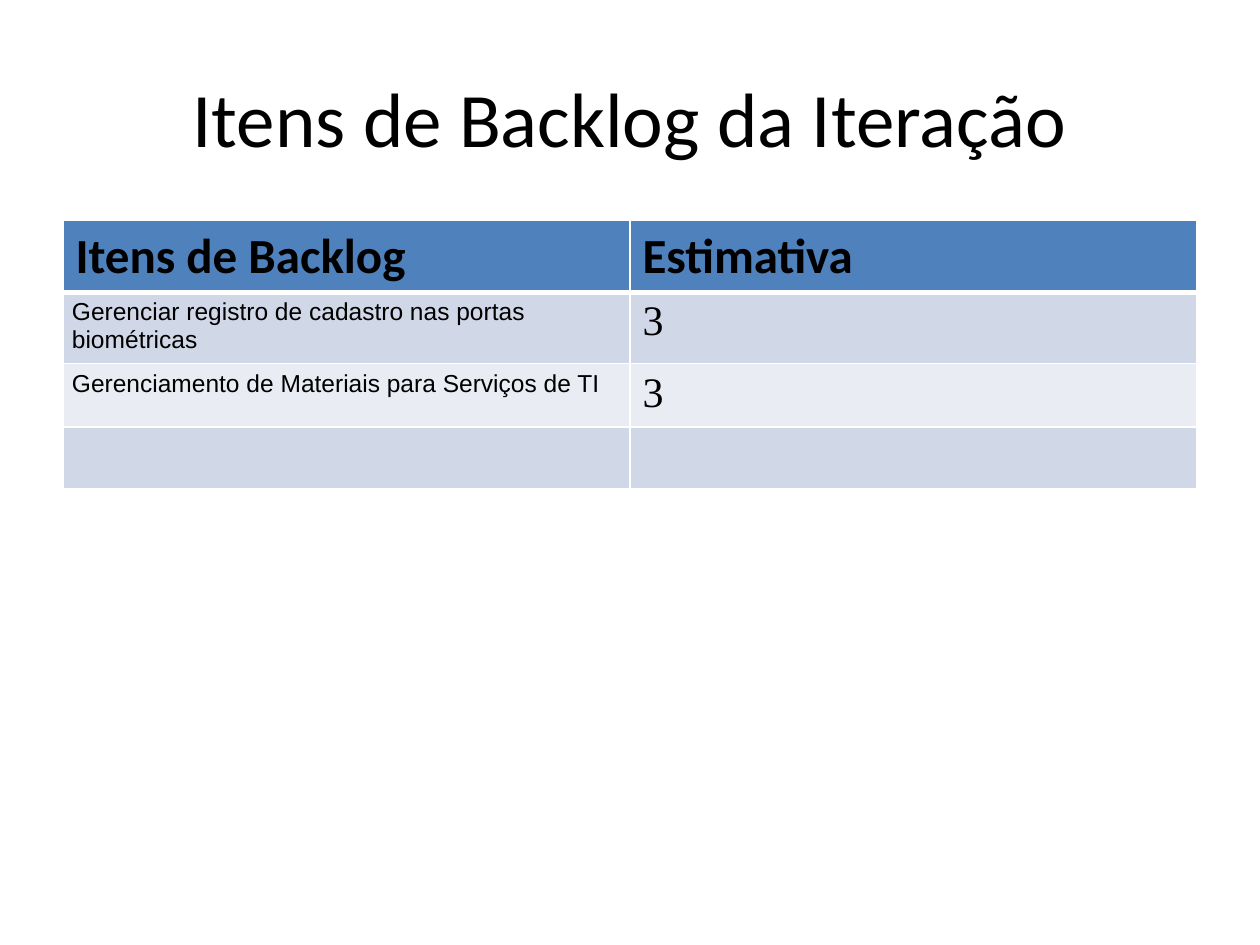
from lxml.etree import SubElement
from pptx import Presentation
from pptx.dml.color import RGBColor
from pptx.enum.text import MSO_ANCHOR, PP_ALIGN
from pptx.oxml.ns import qn
from pptx.util import Cm, Pt

COLORS = {
    "text": "000000",
    "border": "FFFFFF",
    "header": "4F81BD",
    "odd": "D0D8E7",
    "even": "E9ECF3",
}
ROWS = [
    ("Itens de Backlog", "Estimativa"),
    ("Gerenciar registro de cadastro nas portas biométricas", "3"),
    ("Gerenciamento de Materiais para Serviços de TI", "3"),
    ("", ""),
]
HEADER_FONT = ("Calibri", 28, True)
COLUMN_FONTS = [("Arial", 14, False), ("Times New Roman", 24, False)]
THIN, THICK = Pt(0.96), Pt(3)


def style_paragraph(paragraph, name, size, bold=False):
    font = paragraph.font
    font.name, font.size, font.bold = name, Pt(size), bold
    font.color.rgb = RGBColor.from_string(COLORS["text"])


def add_title(slide, text):
    shape = slide.shapes.add_textbox(Cm(1.27), Cm(0.76), Cm(22.86), Cm(3.18))
    frame = shape.text_frame
    frame.word_wrap = True
    frame.vertical_anchor = MSO_ANCHOR.MIDDLE
    frame.text = text
    paragraph = frame.paragraphs[0]
    paragraph.alignment = PP_ALIGN.CENTER
    style_paragraph(paragraph, "Calibri", 44)


def set_borders(cell, top, bottom):
    properties = cell._tc.get_or_add_tcPr()
    edges = [("lnL", THIN), ("lnR", THIN), ("lnT", top), ("lnB", bottom)]
    for position, (edge, width) in enumerate(edges):
        line = SubElement(properties, qn(f"a:{edge}"), w=str(int(width)))
        fill = SubElement(line, qn("a:solidFill"))
        SubElement(fill, qn("a:srgbClr"), val=COLORS["border"])
        properties.insert(position, line)


def fill_cell(cell, text, row, column):
    band = "header" if row == 0 else "odd" if row % 2 else "even"
    cell.fill.solid()
    cell.fill.fore_color.rgb = RGBColor.from_string(COLORS[band])
    set_borders(cell, THICK if row == 1 else THIN, THICK if row == 0 else THIN)
    if text:
        cell.text = text
        font = HEADER_FONT if row == 0 else COLUMN_FONTS[column]
        style_paragraph(cell.text_frame.paragraphs[0], *font)
        if row and column == 0:
            cell.margin_left = cell.margin_right = Cm(0.18)


def add_backlog_table(slide, rows):
    frame = slide.shapes.add_table(
        len(rows), len(rows[0]), Cm(1.27), Cm(4.45), Cm(22.86), Cm(5.13)
    )
    table = frame.table
    for row, texts in enumerate(rows):
        table.rows[row].height = Cm(1.24 if row else 1.4)
        for column, text in enumerate(texts):
            fill_cell(table.cell(row, column), text, row, column)


def main():
    presentation = Presentation()
    presentation.slide_width, presentation.slide_height = Cm(25.4), Cm(19.05)
    slide = presentation.slides.add_slide(presentation.slide_layouts[6])
    add_title(slide, "Itens de Backlog da Iteração")
    add_backlog_table(slide, ROWS)
    presentation.save("out.pptx")


main()
